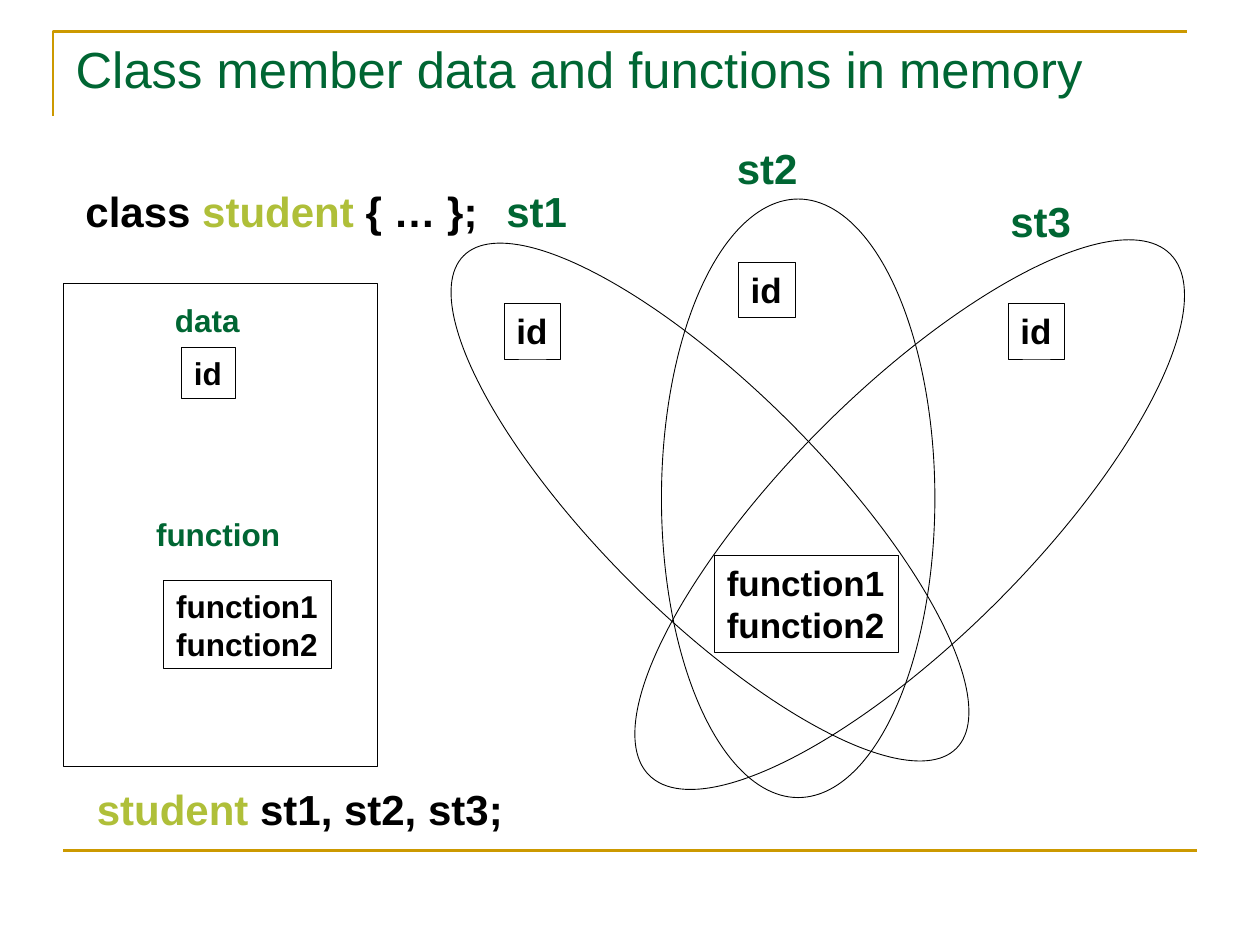
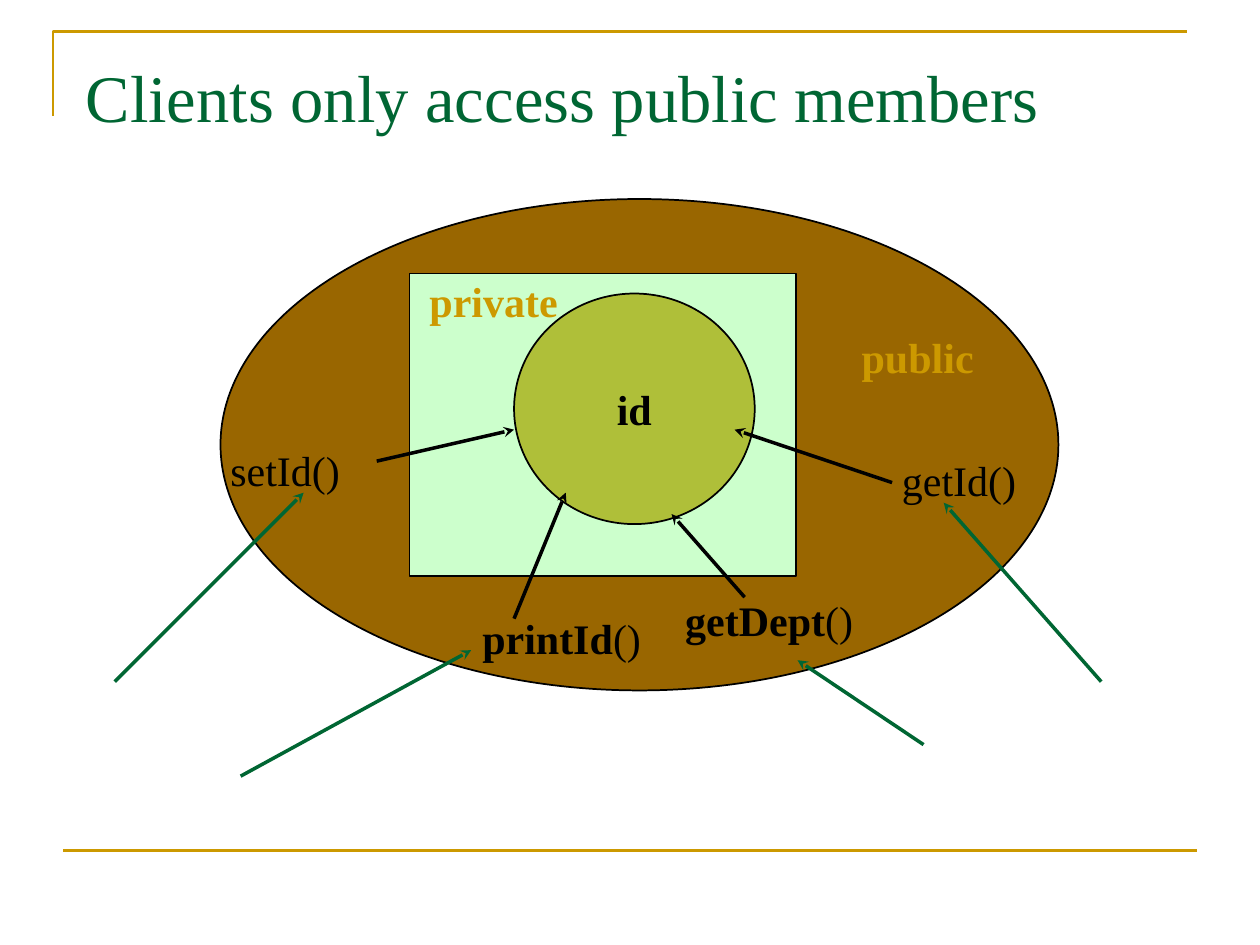
from lxml import etree
from pptx import Presentation
from pptx.dml.color import RGBColor
from pptx.enum.shapes import MSO_CONNECTOR, MSO_SHAPE
from pptx.enum.text import MSO_ANCHOR, MSO_AUTO_SIZE, PP_ALIGN
from pptx.oxml.ns import qn
from pptx.util import Inches, Pt

RECT, ELLIPSE = MSO_SHAPE.RECTANGLE, MSO_SHAPE.OVAL
STRAIGHT = MSO_CONNECTOR.STRAIGHT
TOP, MIDDLE, BOTTOM = MSO_ANCHOR.TOP, MSO_ANCHOR.MIDDLE, MSO_ANCHOR.BOTTOM
LEFT, CENTER = PP_ALIGN.LEFT, PP_ALIGN.CENTER
FIT_SHAPE = MSO_AUTO_SIZE.SHAPE_TO_FIT_TEXT

SANS, SERIF = "Arial", "Times New Roman"
BLACK, GREEN, GOLD = "000000", "006633", "CC9900"
OLIVE, BROWN, MINT = "AFBF39", "996600", "CCFFCC"

SLIDE_SIZE = (10, 7.5)
CORNER = [(0.42, 0.92), (0.42, 0.25), (9.42, 0.25)]
FOOT_RULE = ((0.5, 6.75), (9.5, 6.75))

# Places are (left, top, width, height); runs are (words, colour, bold).
MEMORY_TITLE = ("Class member data and functions in memory",
                (0.5, 0.25, 9, 1.25), 29, SANS, TOP)
ID_RUN = [("id", BLACK, True)]
FUNCTION_RUN = [("function1\nfunction2", BLACK, True)]
MEMORY_BOXES = [
    ((8, 2.41, 0.45, 0.44), ID_RUN),
    ((5.86, 2.08, 0.45, 0.44), ID_RUN),
    ((4, 2.41, 0.45, 0.44), ID_RUN),
    ((5.67, 4.41, 1.46, 0.77), FUNCTION_RUN),
]
OBJECT_OUTLINES = [  # place, rotation
    ((5.25, 1.58, 2.17, 4.75), 0),
    ((6.24, 1.16, 1.96, 5.85), 45),
    ((4.74, 1.22, 1.79, 5.53), 315),
]
MEMORY_LABELS = [
    ((0.58, 1.42, 3.32, 0.5), [("class ", BLACK, True), ("student", OLIVE, True),
                               (" { … };", BLACK, True)]),
    ((0.67, 6.17, 3.43, 0.5), [("student ", OLIVE, True),
                               ("st1, st2, st3;", BLACK, True)]),
    ((3.92, 1.42, 0.69, 0.5), [("st1", GREEN, True)]),
    ((5.75, 1.08, 0.69, 0.5), [("st2", GREEN, True)]),
    ((7.92, 1.5, 0.69, 0.5), [("st3", GREEN, True)]),
]
CLASS_FRAME = (0.5, 2.25, 2.5, 3.83)
CLASS_LABELS = [
    ((1.29, 2.34, 0.72, 0.4), [("data", GREEN, True)]),
    ((1.14, 4.04, 1.19, 0.4), [("function", GREEN, True)]),
]
CLASS_BOXES = [
    ((1.44, 2.76, 0.43, 0.4), ID_RUN),
    ((1.3, 4.61, 1.33, 0.7), FUNCTION_RUN),
]

ACCESS_TITLE = ("Clients only access public members",
                (0.58, 0.33, 8.76, 0.8), 38, SERIF, BOTTOM)
PUBLIC_AREA = (1.75, 1.58, 6.65, 3.9)
PRIVATE_AREA = (3.25, 2.17, 3.07, 2.4)
ID_CIRCLE = (4.08, 2.33, 1.91, 1.83)
ACCESS_LABELS = [
    ((3.73, 4.81, 1.46, 0.5), [("printId", BLACK, True), ("()", BLACK, False)]),
    ((1.73, 3.48, 1.07, 0.5), [("setId()", BLACK, False)]),
    ((7.06, 3.56, 1.11, 0.5), [("getId()", BLACK, False)]),
    ((5.34, 4.67, 1.54, 0.5), [("getDept", BLACK, True), ("()", BLACK, False)]),
    ((3.31, 2.14, 1.22, 0.5), [("private", GOLD, True)]),
    ((6.74, 2.58, 1.09, 0.5), [("public", GOLD, True)]),
]
MEMBER_ARROWS = [
    ((4.08, 4.91), (4.49, 3.91)),
    ((7.08, 3.83), (5.83, 3.41)),
    ((2.99, 3.66), (4.08, 3.41)),
    ((5.91, 4.74), (5.33, 4.08)),
]
CLIENT_ARROWS = [
    ((1.91, 6.16), (3.74, 5.16)),
    ((0.91, 5.41), (2.41, 3.91)),
    ((7.33, 5.91), (6.33, 5.24)),
    ((8.74, 5.41), (7.49, 3.99)),
]


def rgb(value):
    return RGBColor.from_string(value)


def inches(values):
    return [Inches(value) for value in values]


def style_line(line, color, width):
    line.color.rgb = rgb(color)
    line.width = Pt(width)


def write(frame, runs, size, font, anchor=TOP, align=LEFT):
    """Fill a text frame with runs; a line break in a run opens a paragraph."""
    frame.vertical_anchor = anchor
    paragraph = frame.paragraphs[0]
    for words, color, bold in runs:
        for number, line in enumerate(words.split("\n")):
            if number:
                paragraph = frame.add_paragraph()
            paragraph.alignment = align
            run = paragraph.add_run()
            run.text = line
            run.font.name, run.font.size, run.font.bold = font, Pt(size), bold
            run.font.color.rgb = rgb(color)


def add_outline(shapes, kind, place, fill=None, width=0.5):
    shape = shapes.add_shape(kind, *inches(place))
    shape.shadow.inherit = False
    style_line(shape.line, BLACK, width)
    if fill:
        shape.fill.solid()
        shape.fill.fore_color.rgb = rgb(fill)
    else:
        shape.fill.background()
    return shape


def add_labels(shapes, labels, size, font, boxed=False):
    for place, runs in labels:
        if boxed:
            label = add_outline(shapes, RECT, place)
        else:
            label = shapes.add_textbox(*inches(place))
        frame = label.text_frame
        frame.word_wrap = False
        frame.auto_size = FIT_SHAPE
        write(frame, runs, size, font)


def add_line(shapes, ends, color, width, arrow=False):
    start, end = ends
    connector = shapes.add_connector(STRAIGHT, *inches(start + end))
    style_line(connector.line, color, width)
    if arrow:
        etree.SubElement(connector.line._get_or_add_ln(), qn("a:tailEnd"), type="stealth")
    etree.SubElement(connector._element.spPr, qn("a:effectLst"))


def add_titled_slide(deck, title):
    """Add a slide with the gold corner, the foot rule and its title."""
    words, place, size, font, anchor = title
    slide = deck.slides.add_slide(deck.slide_layouts[5])
    heading = slide.shapes.title
    heading.left, heading.top, heading.width, heading.height = inches(place)
    write(heading.text_frame, [(words, GREEN, False)], size, font, anchor)

    start, *others = [inches(point) for point in CORNER]
    builder = slide.shapes.build_freeform(*start)
    builder.add_line_segments(others, close=False)
    corner = builder.convert_to_shape()
    corner.fill.background()
    corner.shadow.inherit = False
    style_line(corner.line, GOLD, 1.5)
    add_line(slide.shapes, FOOT_RULE, GOLD, 1.5)
    return slide.shapes


def build_memory_slide(deck):
    shapes = add_titled_slide(deck, MEMORY_TITLE)
    add_labels(shapes, MEMORY_BOXES, 20, SANS, boxed=True)
    for place, rotation in OBJECT_OUTLINES:
        add_outline(shapes, ELLIPSE, place).rotation = rotation
    add_labels(shapes, MEMORY_LABELS, 24, SANS)

    class_parts = shapes.add_group_shape().shapes
    add_outline(class_parts, RECT, CLASS_FRAME)
    add_labels(class_parts, CLASS_LABELS, 18, SANS)
    add_labels(class_parts, CLASS_BOXES, 18, SANS, boxed=True)


def build_access_slide(deck):
    shapes = add_titled_slide(deck, ACCESS_TITLE)
    add_outline(shapes, ELLIPSE, PUBLIC_AREA, BROWN, 1)
    add_outline(shapes, RECT, PRIVATE_AREA, MINT, 1)
    circle = add_outline(shapes, ELLIPSE, ID_CIRCLE, OLIVE, 1)
    circle.text_frame.word_wrap = False
    write(circle.text_frame, ID_RUN, 24, SERIF, MIDDLE, CENTER)
    add_labels(shapes, ACCESS_LABELS, 24, SERIF)
    for arrows, color in ((MEMBER_ARROWS, BLACK), (CLIENT_ARROWS, GREEN)):
        for ends in arrows:
            add_line(shapes, ends, color, 2, arrow=True)


def main():
    deck = Presentation()
    deck.slide_width, deck.slide_height = inches(SLIDE_SIZE)
    build_memory_slide(deck)
    build_access_slide(deck)
    deck.save("out.pptx")


if __name__ == "__main__":
    main()
